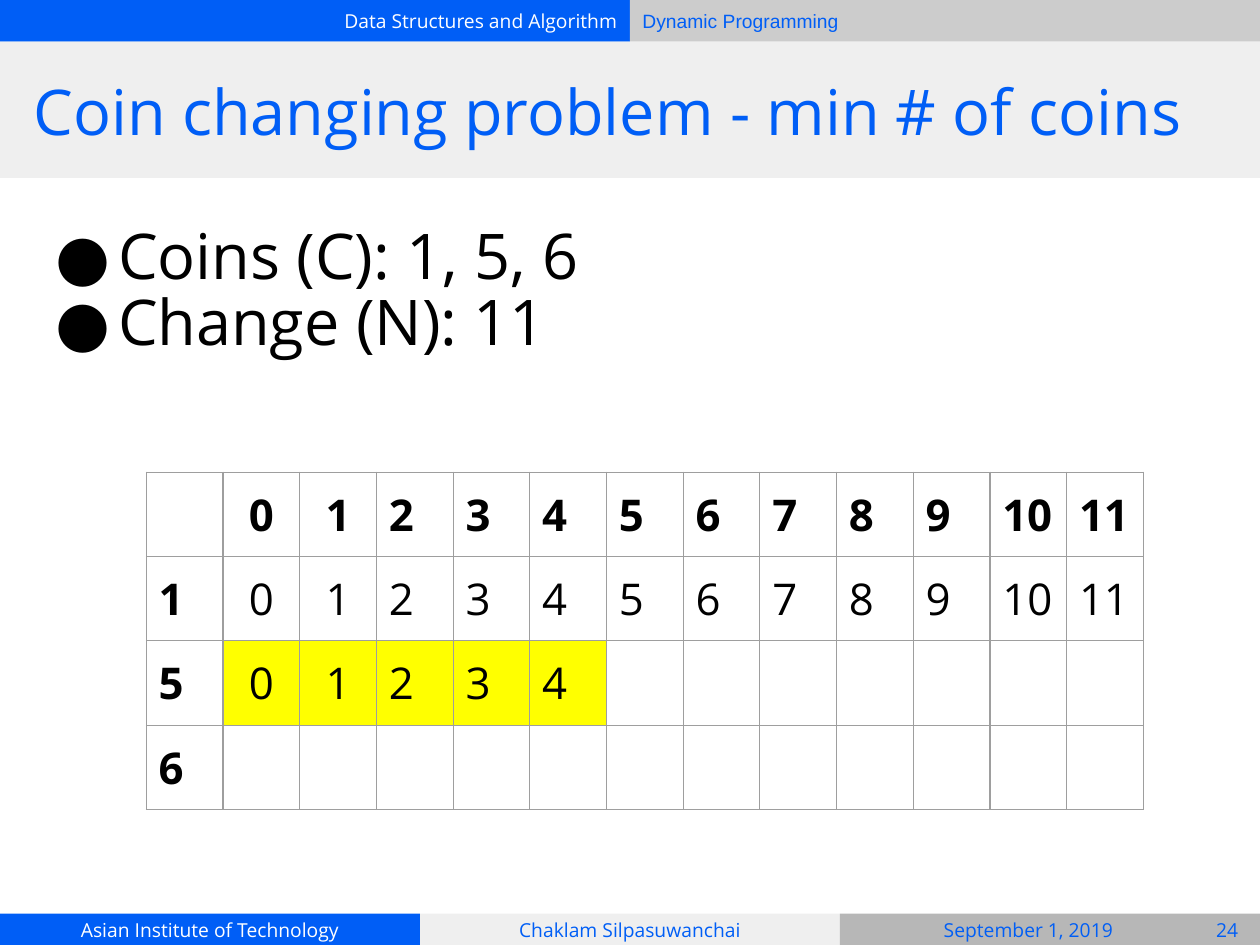
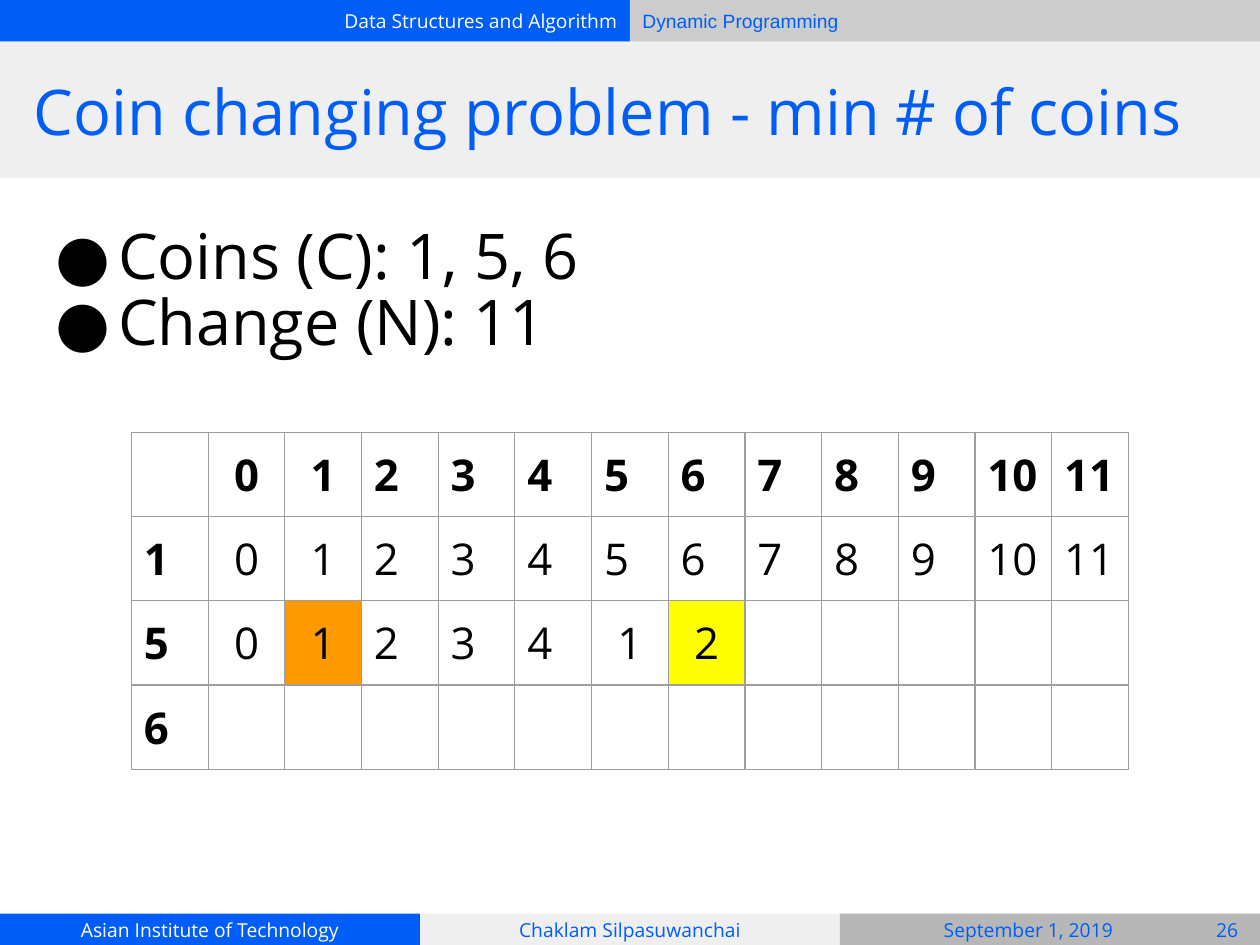
import pptx
import pptx.util
import pptx.dml.color
import pptx.enum.shapes
import pptx.enum.text
from lxml import etree
from pptx.util import Cm, Pt
from pptx.enum.text import MSO_ANCHOR, PP_ALIGN

# Shared style
BLUE, WHITE, BLACK = "005EF6", "FFFFFF", "000000"
PALE, LIGHT, GREY, RULE = "EFEFEF", "CCCCCC", "B7B7B7", "9E9E9E"
YELLOW, ORANGE = "FFFF00", "FF9900"
FONT = "Open Sans"
WIDTH, HEIGHT = 25.4, 19.05
HEAD_HEIGHT, TITLE_HEIGHT, FOOT_HEIGHT = 0.84, 2.75, 0.63
FOOT_TOP = HEIGHT - FOOT_HEIGHT
TITLE = "Coin changing problem - min # of coins"
FACTS = ["Coins (C): 1, 5, 6", "Change (N): 11"]
COINS = ["1", "5", "6"]
AMOUNTS = [str(amount) for amount in range(12)]


def colour(value):
    return pptx.dml.color.RGBColor.from_string(value)


def add_xml(parent, tag, **attributes):
    return etree.SubElement(parent, pptx.oxml.ns.qn(tag), attributes)


def style_text(frame, size, value, align=PP_ALIGN.LEFT, font=FONT, bold=False):
    for para in frame.paragraphs:
        para.alignment = align
        for span in para.runs:
            span.font.name, span.font.size, span.font.bold = font, Pt(size), bold
            span.font.color.rgb = colour(value)


def set_insets(frame, side, end):
    frame.margin_left = frame.margin_right = Cm(side)
    frame.margin_top = frame.margin_bottom = Cm(end)


def add_label(slide, box, text, value, align=PP_ALIGN.CENTER, font=FONT, fill=None):
    """Small one-line label, on a filled band when fill is given."""
    place = [Cm(length) for length in box]
    if fill:
        shape = slide.shapes.add_shape(pptx.enum.shapes.MSO_SHAPE.RECTANGLE, *place)
        shape.shadow.inherit = False
        shape.fill.solid()
        shape.fill.fore_color.rgb = colour(fill)
        shape.line.fill.background()
    else:
        shape = slide.shapes.add_textbox(*place)
    frame = shape.text_frame
    frame.word_wrap = True
    frame.vertical_anchor = MSO_ANCHOR.MIDDLE
    set_insets(frame, 0.25, 0.25)
    frame.text = text
    style_text(frame, 11, value, align, font)
    return shape


def add_header(slide, left, top, width):
    half = width / 2
    return [
        add_label(slide, (left, top, half, HEAD_HEIGHT), "Data Structures and Algorithm",
                  WHITE, PP_ALIGN.RIGHT, fill=BLUE),
        add_label(slide, (left + half, top, half, HEAD_HEIGHT), "Dynamic Programming",
                  BLUE, PP_ALIGN.LEFT, "Arial", LIGHT),
        add_label(slide, (left, top + HEAD_HEIGHT, width, TITLE_HEIGHT), "", BLUE, fill=PALE),
    ]


def add_footer(slide, left, top, width):
    third = width / 3
    bands = [("Asian Institute of Technology", WHITE, BLUE),
             ("Chaklam Silpasuwanchai", BLUE, PALE), ("", BLUE, GREY)]
    labels = [add_label(slide, (left + i * third, top, third, FOOT_HEIGHT), text, value, fill=fill)
              for i, (text, value, fill) in enumerate(bands)]
    date_box = (left + 2 * third + 0.2, top, 7.2, FOOT_HEIGHT)
    return labels + [add_label(slide, date_box, "September 1, 2019", BLUE)]


def furnish_layout(deck, layout):
    """Draw the bands once, then hand them over to the layout."""
    slide = deck.slides[0]
    bands = add_header(slide, 0, 0, WIDTH) + add_footer(slide, 0, FOOT_TOP, WIDTH)
    for index, band in enumerate(bands):
        layout.shapes.element.insert(2 + index, band.element)


def set_title(slide, left, top, width, height):
    title = slide.shapes.title
    title.left, title.top, title.width, title.height = map(Cm, (left, top, width, height))
    frame = title.text_frame
    frame.text = TITLE
    frame.word_wrap = True
    frame.auto_size = pptx.enum.text.MSO_AUTO_SIZE.NONE
    frame.vertical_anchor = MSO_ANCHOR.MIDDLE
    set_insets(frame, 0.25, 0.13)
    style_text(frame, 36, BLUE)


def add_facts(slide, left, top, width, height):
    frame = slide.shapes.add_textbox(*map(Cm, (left, top, width, height))).text_frame
    frame.word_wrap = True
    set_insets(frame, 0.25, 0.13)
    frame.text = "\n".join(FACTS)
    for para in frame.paragraphs:
        para.line_spacing = 0.88
        properties = para._p.get_or_add_pPr()
        properties.set("marL", str(Cm(1.27)))
        properties.set("indent", str(Cm(-1.27)))
        add_xml(add_xml(properties, "a:buClr"), "a:srgbClr", val=BLACK)
        add_xml(properties, "a:buFont", typeface=FONT)
        add_xml(properties, "a:buChar", char="●")
    style_text(frame, 36, BLACK)


def set_borders(cell):
    properties = cell._tc.get_or_add_tcPr()
    for tag in ("a:lnL", "a:lnR", "a:lnT", "a:lnB"):
        line = add_xml(properties, tag, w=str(Pt(0.75)))
        add_xml(add_xml(line, "a:solidFill"), "a:srgbClr", val=RULE)


def add_coin_table(slide, left, top, five_row, fills, centred):
    """Coins down, amounts across; fills and centred apply to the row of coin 5."""
    rows = [[""] + AMOUNTS, AMOUNTS, five_row, []]
    rows[1:] = [[coin] + row for coin, row in zip(COINS, rows[1:])]
    columns = len(rows[0])
    width, height = 20.1, 6.8
    table = slide.shapes.add_table(len(rows), columns, Cm(left), Cm(top),
                                   Cm(width), Cm(height)).table
    table.first_row = table.horz_banding = False
    for column in table.columns:
        column.width = Cm(width / columns)
    for r, row in enumerate(rows):
        for c in range(columns):
            cell = table.cell(r, c)
            set_insets(cell, 0.25, 0.25)
            set_borders(cell)
            fill = fills.get(c - 1) if r == 2 else None
            if fill:
                cell.fill.solid()
                cell.fill.fore_color.rgb = colour(fill)
            else:
                cell.fill.background()
            if c < len(row):
                cell.text = row[c]
                middle = c in (1, 2) or (r == 2 and c - 1 in centred)
                style_text(cell.text_frame, 25, BLACK,
                           PP_ALIGN.CENTER if middle else PP_ALIGN.LEFT,
                           bold=r == 0 or c == 0)


def fill_slide(slide, number, table_left, table_top, five_row, fills, centred=()):
    set_title(slide, 0.43, HEAD_HEIGHT, 24.55, TITLE_HEIGHT)
    add_facts(slide, 0.86, 4.43, 23.67, 3.8)
    add_label(slide, (24.08, FOOT_TOP + 0.02, 1.32, 0.61), number, BLUE)
    add_coin_table(slide, table_left, table_top, five_row, fills, centred)


def main():
    deck = pptx.Presentation()
    deck.slide_width, deck.slide_height = Cm(WIDTH), Cm(HEIGHT)
    layout = deck.slide_layouts[5]
    first, second = [deck.slides.add_slide(layout) for _ in range(2)]
    furnish_layout(deck, layout)
    # Amounts below 5 carried down
    fill_slide(first, "24", 2.95, 9.52, AMOUNTS[:5], dict.fromkeys(range(5), YELLOW))
    # Amount 6 built on amount 1
    fill_slide(second, "26", 2.65, 8.71, AMOUNTS[:5] + ["1", "2"],
               {1: ORANGE, 6: YELLOW}, centred=(5, 6))
    deck.save("out.pptx")


if __name__ == "__main__":
    main()
